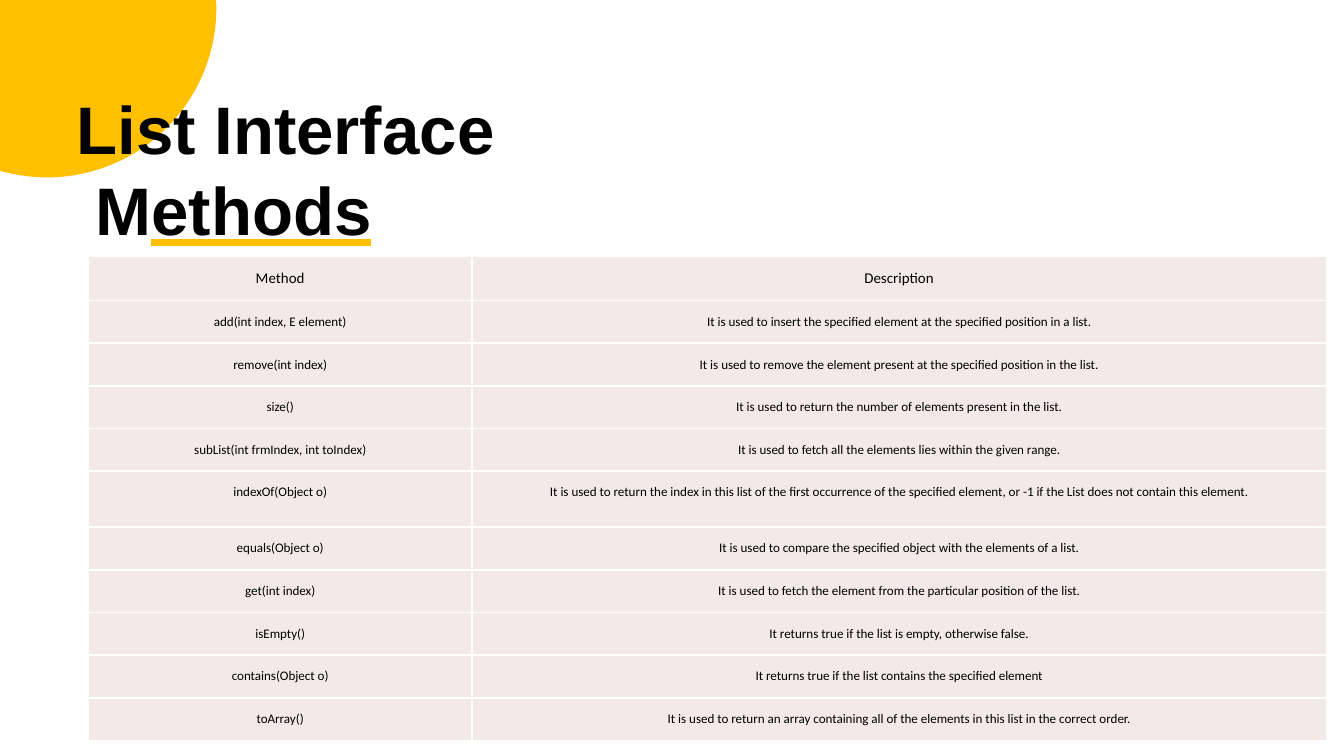
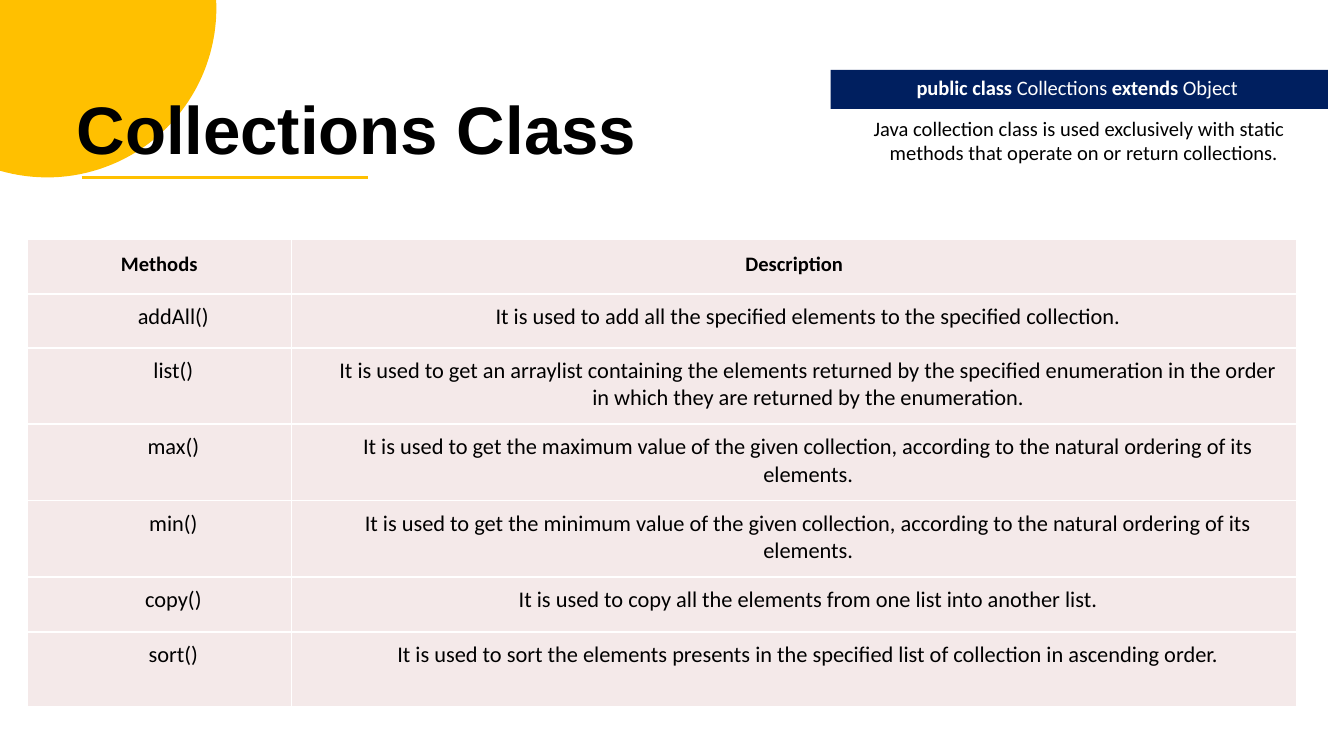
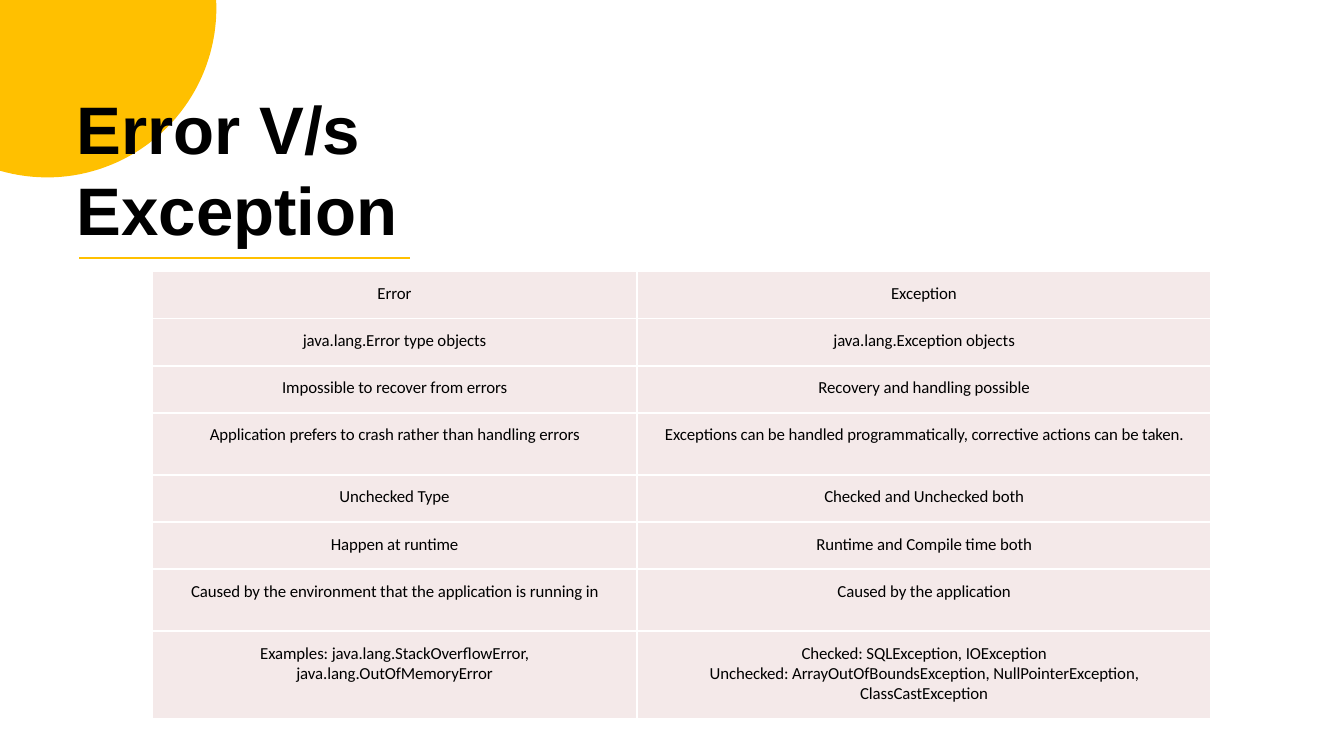
import math

import pptx
import pptx.dml.color
import pptx.enum.shapes
import pptx.enum.text
import pptx.oxml
import pptx.oxml.ns
import pptx.util

Inches = pptx.util.Inches
Pt = pptx.util.Pt
CENTER = pptx.enum.text.PP_ALIGN.CENTER
HEAVY = pptx.enum.text.MSO_UNDERLINE.HEAVY_LINE
GOLD, NAVY, ROSE = "FFC000", "001F5F", "F4E9E9"
BLACK, WHITE = "000000", "FFFFFF"


def color(code):
    return pptx.dml.color.RGBColor.from_string(code)


def fragment(tag, inner="", attrs=""):
    space = pptx.oxml.ns.nsdecls("a")
    return pptx.oxml.parse_xml(f"<a:{tag} {space} {attrs}>{inner}</a:{tag}>")


def solid(code):
    return f'<a:solidFill><a:srgbClr val="{code}"/></a:solidFill>'


class Deck:
    def __init__(self):
        self.show = pptx.Presentation()
        self.show.slide_width = Inches(10)
        self.show.slide_height = Inches(10) * 9 // 16
        self.slide = None

    def page(self):
        self.slide = self.show.slides.add_slide(self.show.slide_layouts[6])
        self.disc(0.35, 0.06, 1.26)

    def disc(self, x, y, radius):
        start = -math.asin(y / radius)
        end = math.pi / 2 + math.asin(x / radius)
        steps = 48
        turns = [start + (end - start) * i / steps for i in range(steps + 1)]
        arc = [(Inches(x + radius * math.cos(t)), Inches(y + radius * math.sin(t)))
               for t in turns]
        form = self.slide.shapes.build_freeform(0, 0)
        form.add_line_segments(arc, close=True)
        self.paint(form.convert_to_shape(), GOLD)

    def paint(self, shape, fill):
        shape.shadow.inherit = False
        shape.fill.solid()
        shape.fill.fore_color.rgb = color(fill)
        shape.line.fill.background()

    def band(self, x, y, width, height, fill):
        kind = pptx.enum.shapes.MSO_SHAPE.RECTANGLE
        box = (Inches(v) for v in (x, y, width, height))
        self.paint(self.slide.shapes.add_shape(kind, *box), fill)

    def rule(self, x, y, width):
        kind = pptx.enum.shapes.MSO_CONNECTOR.STRAIGHT
        line = self.slide.shapes.add_connector(
            kind, Inches(x), Inches(y), Inches(x + width), Inches(y))
        line.line.color.rgb = color(GOLD)
        line.line.width = Pt(1.5)
        line._element.spPr.append(fragment("effectLst"))

    def run(self, para, text, size, font="Calibri", ink=BLACK, bold=False,
            track=0, under=None):
        run = para.add_run()
        run.text = text
        run.font.size = Pt(size)
        run.font.bold = bold
        run.font.color.rgb = color(ink)
        run.font.name = font
        props = run.font._element
        if track:
            props.set("spc", str(round(track * 100)))
        if under:
            run.font.underline = HEAVY
            latin = props.find(pptx.oxml.ns.qn("a:latin"))
            latin.addprevious(fragment("uFill", solid(under)))

    def indent(self, para, gap, first=0):
        props = para._p.get_or_add_pPr()
        props.set("marL", str(Inches(gap)))
        props.set("indent", str(Inches(first)))

    def text(self, x, y, width, height, gap=0.01, first=0):
        box = self.slide.shapes.add_textbox(
            Inches(x), Inches(y), Inches(width), Inches(height))
        frame = box.text_frame
        frame.word_wrap = True
        frame.margin_left = frame.margin_right = frame.margin_bottom = 0
        frame.margin_top = Inches(0.02)
        para = frame.paragraphs[0]
        self.indent(para, gap, first)
        return para

    def title(self, width, height, runs, gap=0.01, first=0):
        para = self.text(0.56, 0.63, width, height, gap, first)
        for part, under in runs:
            self.run(para, part, 36, font="Arial", bold=True, under=under)

    def table(self, x, y, widths, heights, tall, data, size, top,
              head=None, gap=0, track=0):
        grid = self.slide.shapes.add_table(
            len(data), len(widths), Inches(x), Inches(y),
            Inches(sum(widths)), Inches(tall)).table
        for col, width in zip(grid.columns, widths):
            col.width = Inches(width)
        for row, height in zip(grid.rows, heights):
            row.height = Inches(height * tall / sum(heights))
        for r, texts in enumerate(data):
            style = {"size": size, "track": track}
            if r == 0:
                style.update(head or {})
            for c, text in enumerate(texts):
                cell = grid.cell(r, c)
                self.cell(cell, 0.09 if r == 0 else top)
                self.fill(cell.text_frame, text, gap if r else 0, style)

    def fill(self, frame, text, gap, style):
        for i, line in enumerate(text.split("\n")):
            para = frame.add_paragraph() if i else frame.paragraphs[0]
            self.indent(para, gap)
            para.alignment = CENTER
            for j, part in enumerate(line.split("\v")):
                if j:
                    para.add_line_break()
                self.run(para, part, **style)

    def cell(self, cell, top):
        cell.margin_left = cell.margin_right = cell.margin_bottom = 0
        cell.margin_top = Inches(top)
        props = cell._tc.get_or_add_tcPr()
        for side in ("lnL", "lnR", "lnT", "lnB"):
            props.append(fragment(side, solid(WHITE), f'w="{Pt(1)}"'))
        cell.fill.solid()
        cell.fill.fore_color.rgb = color(ROSE)


LIST = [
    ("Method", "Description"),
    ("add(int index, E element)", "It is used to insert the specified element at the specified position in a list."),
    ("remove(int index)", "It is used to remove the element present at the specified position in the list."),
    ("size()", "It is used to return the number of elements present in the list."),
    ("subList(int frmIndex, int toIndex)", "It is used to fetch all the elements lies within the given range."),
    ("indexOf(Object o)", "It is used to return the index in this list of the first occurrence of the specified element, or -1 if the List does not contain this element."),
    ("equals(Object o)", "It is used to compare the specified object with the elements of a list."),
    ("get(int index)", "It is used to fetch the element from the particular position of the list."),
    ("isEmpty()", "It returns true if the list is empty, otherwise false."),
    ("contains(Object o)", "It returns true if the list contains the specified element"),
    ("toArray()", "It is used to return an array containing all of the elements in this list in the correct order."),
]

TOOLS = [
    ("Methods", "Description"),
    ("addAll()", "It is used to add all the specified elements to the specified collection."),
    ("list()", "It is used to get an arraylist containing the elements returned by the specified enumeration in the order\vin which they are returned by the enumeration."),
    ("max()", "It is used to get the maximum value of the given collection, according to the natural ordering of its\nelements."),
    ("min()", "It is used to get the minimum value of the given collection, according to the natural ordering of its elements."),
    ("copy()", "It is used to copy all the elements from one list into another list."),
    ("sort()", "It is used to sort the elements presents in the specified list of collection in ascending order."),
]

FAULTS = [
    ("Error", "Exception"),
    ("java.lang.Error type objects", "java.lang.Exception objects"),
    ("Impossible to recover from errors", "Recovery and handling possible"),
    ("Application prefers to crash rather than handling errors", "Exceptions can be handled programmatically, corrective actions can be taken."),
    ("Unchecked Type", "Checked and Unchecked both"),
    ("Happen at runtime", "Runtime and Compile time both"),
    ("Caused by the environment that the application is running in", "Caused by the application"),
    ("Examples: java.lang.StackOverflowError,\vjava.lang.OutOfMemoryError", "Checked: SQLException, IOException\nUnchecked: ArrayOutOfBoundsException, NullPointerException,\vClassCastException"),
]


def main():
    deck = Deck()

    deck.page()
    deck.title(3.14, 1.23, [("List Interface ", None), ("M", None), ("ethods", GOLD)],
               gap=0.15, first=-0.14)
    deck.table(0.66, 1.91, [2.85, 6.36], [0.33] + [0.32] * 4 + [0.42] + [0.32] * 5,
               3.6, LIST, 7, 0.1, head={"size": 8})

    deck.page()
    deck.title(4.2, 0.63, [("Collections Class", None)])
    deck.band(6.18, 0.52, 3.7, 0.29, NAVY)
    para = deck.text(6.81, 0.54, 2.44, 0.21)
    for part, bold in (("public class ", True), ("Collections ", False),
                       ("extends ", True), ("Object", False)):
        deck.run(para, part, 11, ink=WHITE, bold=bold, track=-0.05)
    para = deck.text(6.49, 0.84, 3.09, 0.4, gap=0.13, first=-0.12)
    deck.run(para, "Java collection class is used exclusively with static "
             "methods that operate on or return collections.", 11)
    deck.table(0.2, 1.78, [1.97, 7.48], [0.41, 0.4] + [0.57] * 3 + [0.41, 0.56],
               3.48, TOOLS, 12, 0.07, head={"size": 11, "bold": True}, gap=0.21)
    deck.rule(0.61, 1.32, 2.13)

    deck.page()
    deck.title(2.42, 1.23, [("Error V/s Exception", None)])
    deck.rule(0.59, 1.92, 2.46)
    deck.table(1.13, 2.02, [3.61, 4.27],
               [0.35] * 3 + [0.46] + [0.35] * 2 + [0.46, 0.65],
               3.33, FAULTS, 9, 0.09, track=-0.05)

    deck.show.save("out.pptx")


if __name__ == "__main__":
    main()
